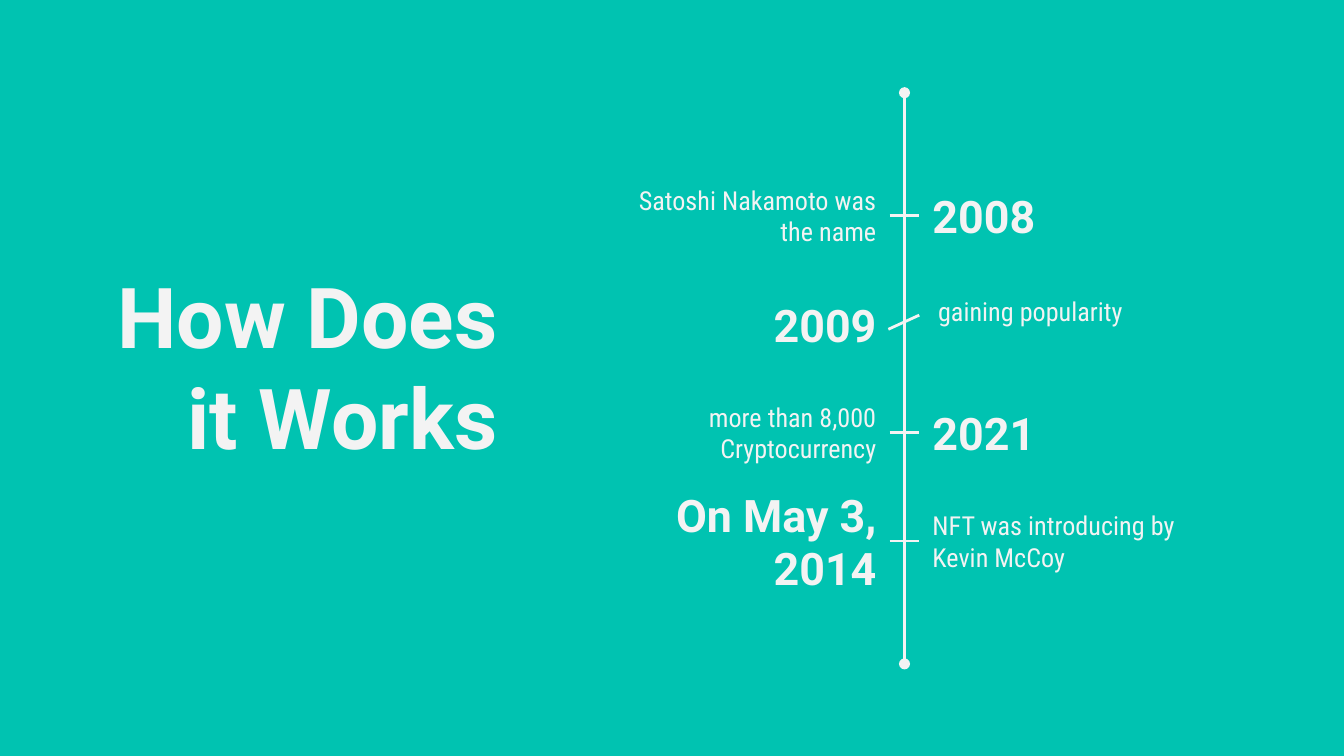
from lxml import etree
from pptx import Presentation
from pptx.dml.color import RGBColor
from pptx.enum.shapes import MSO_CONNECTOR
from pptx.enum.text import MSO_ANCHOR, PP_ALIGN
from pptx.oxml.ns import qn
from pptx.util import Inches, Pt

LEFT, RIGHT = PP_ALIGN.LEFT, PP_ALIGN.RIGHT
TOP, MIDDLE = MSO_ANCHOR.TOP, MSO_ANCHOR.MIDDLE
STRAIGHT = MSO_CONNECTOR.STRAIGHT

TEAL, PALE = "00C3B1", "F3F3F3"
HEAD, BODY = "Roboto", "Roboto Condensed"
PAGE_W = 10
PAGE_H = PAGE_W * 9 / 16
LEFT_X, RIGHT_X = 4.36, 6.84
TICK_X, AXIS_X = 6.61, 6.73
WIDTH, HEIGHT = 2.26, 0.69
FIRST_Y, LAST_Y = 1.26, 3.68

# Left text, right text, whether the year is on the left
EVENTS = [
    ("Satoshi Nakamoto was\nthe name", "2008", False),
    ("2009", "gaining popularity", True),
    ("more than 8,000\nCryptocurrency", "2021", False),
    ("On May 3, 2014", "NFT was introducing by Kevin McCoy", True),
]
RAISED = 1  # row whose right text sits higher, so its tick slants


def color(code):
    return RGBColor.from_string(code)


def add_text(slide, text, x, y, w, h, size, font, align, anchor=MIDDLE):
    box = slide.shapes.add_textbox(Inches(x), Inches(y), Inches(w), Inches(h))
    frame = box.text_frame
    frame.word_wrap = True
    frame.vertical_anchor = anchor
    frame.margin_left = frame.margin_right = Inches(0.1)
    frame.margin_top = frame.margin_bottom = Inches(0.1)
    frame.text = text
    for para in frame.paragraphs:
        para.alignment = align
        for run in para.runs:
            run.font.size = Pt(size)
            run.font.name = font
            run.font.bold = font == HEAD
            run.font.color.rgb = color(PALE)
    return box


def add_line(slide, x1, y1, x2, y2):
    line = slide.shapes.add_connector(
        STRAIGHT, Inches(x1), Inches(y1), Inches(x2), Inches(y2))
    line.line.color.rgb = color(PALE)
    line.line.width = Pt(1.5)
    etree.SubElement(line._element.spPr, qn("a:effectLst"))
    return line


def add_axis(slide):
    """Draw the vertical time line with a dot at each end."""
    axis = add_line(slide, AXIS_X, 0.69, AXIS_X, 4.94)
    stroke = axis.line._get_or_add_ln()
    for end in ("a:headEnd", "a:tailEnd"):
        etree.SubElement(stroke, qn(end), type="oval")


def add_side(slide, text, x, y, is_year, align):
    size, font = (24, HEAD) if is_year else (14, BODY)
    return add_text(slide, text, x, y, WIDTH, HEIGHT, size, font, align)


def add_event(slide, y, left, right, year_left, raised):
    """Place both texts of an event and join them across the axis."""
    before = add_side(slide, left, LEFT_X, y, year_left, RIGHT)
    after = add_side(slide, right, RIGHT_X, y, not year_left, LEFT)
    start = y + HEIGHT / 2
    if raised:
        start = 2.45
        after.top, after.height = Inches(2.1), Inches(0.49)
        after.text_frame.vertical_anchor = TOP
        after.text_frame.margin_left = Inches(0.14)
    tick = add_line(slide, TICK_X, start, RIGHT_X, start)
    if not raised:
        tick.begin_connect(before, 3)
    tick.end_connect(after, 1)


def main():
    deck = Presentation()
    deck.slide_width, deck.slide_height = Inches(PAGE_W), Inches(PAGE_H)
    slide = deck.slides.add_slide(deck.slide_layouts[6])
    fill = slide.background.fill
    fill.solid()
    fill.fore_color.rgb = color(TEAL)

    add_text(slide, "How Does it Works", 0.36, 1.87, 3.44, 1.89,
             45, HEAD, RIGHT, TOP)
    add_axis(slide)
    step = (LAST_Y - FIRST_Y) / (len(EVENTS) - 1)
    for row, event in enumerate(EVENTS):
        add_event(slide, FIRST_Y + row * step, *event, row == RAISED)
    deck.save("out.pptx")


if __name__ == "__main__":
    main()
